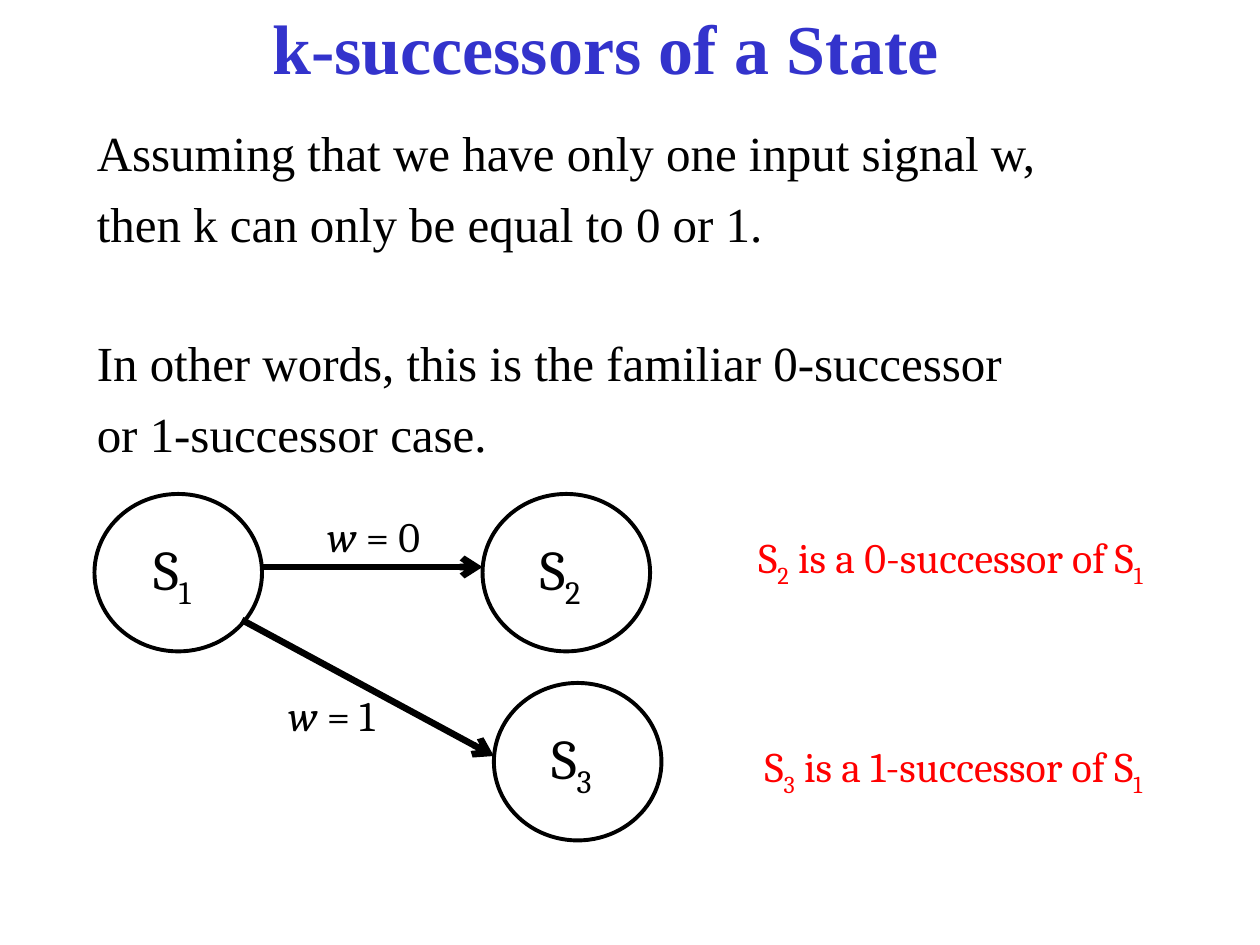
from pptx import Presentation
from pptx.dml.color import RGBColor
from pptx.enum.shapes import MSO_CONNECTOR, MSO_SHAPE
from pptx.enum.text import MSO_ANCHOR, MSO_AUTO_SIZE, PP_ALIGN
from pptx.oxml.ns import qn
from pptx.util import Inches, Pt
from lxml import etree

OVAL = MSO_SHAPE.OVAL
STRAIGHT = MSO_CONNECTOR.STRAIGHT
TOP, MIDDLE = MSO_ANCHOR.TOP, MSO_ANCHOR.MIDDLE
LEFT, CENTER = PP_ALIGN.LEFT, PP_ALIGN.CENTER
FIT_SHAPE = MSO_AUTO_SIZE.SHAPE_TO_FIT_TEXT
NO_FIT = MSO_AUTO_SIZE.NONE
TITLE_ONLY = 5


def color(hex_code):
    return RGBColor.from_string(hex_code)


class StateSlide:
    HEADING_FONT = "Times New Roman"
    DIAGRAM_FONT = "Cambria"
    BLUE, BLACK, RED, WHITE = "3333CC", "000000", "FF0000", "FFFFFF"
    STATE_WIDTH, STATE_HEIGHT = 1.33, 1.25

    def __init__(self, presentation):
        layout = presentation.slide_layouts[TITLE_ONLY]
        self.slide = presentation.slides.add_slide(layout)
        self.shapes = self.slide.shapes

    def run(self, paragraph, text, size, font, hex_code,
            bold=False, italic=False, subscript=False):
        run = paragraph.add_run()
        run.text = text
        run.font.size = Pt(size)
        run.font.name = font
        run.font.bold = bold
        run.font.italic = italic
        run.font.color.rgb = color(hex_code)
        if subscript:
            run.font._element.set("baseline", "-25000")

    def title(self, text, left, top, width, height):
        heading = self.shapes.title
        heading.left, heading.top = Inches(left), Inches(top)
        heading.width, heading.height = Inches(width), Inches(height)
        frame = heading.text_frame
        frame.auto_size = NO_FIT
        frame.vertical_anchor = MIDDLE
        paragraph = frame.paragraphs[0]
        paragraph.alignment = CENTER
        self.run(paragraph, text, 40, self.HEADING_FONT, self.BLUE, bold=True)

    def body(self, lines, left, top, width, height):
        """Add one paragraph per (text, space before in points) pair."""
        box = self.shapes.add_textbox(
            Inches(left), Inches(top), Inches(width), Inches(height))
        frame = box.text_frame
        frame.word_wrap = True
        for index, (text, space_before) in enumerate(lines):
            paragraph = frame.add_paragraph() if index else frame.paragraphs[0]
            paragraph.alignment = LEFT
            paragraph.space_before = Pt(space_before)
            self.run(paragraph, text, 28, self.HEADING_FONT, self.BLACK)

    def state(self, number, left, top):
        circle = self.shapes.add_shape(
            OVAL, Inches(left), Inches(top),
            Inches(self.STATE_WIDTH), Inches(self.STATE_HEIGHT))
        circle.shadow.inherit = False
        circle.fill.solid()
        circle.fill.fore_color.rgb = color(self.WHITE)
        circle.line.color.rgb = color(self.BLACK)
        circle.line.width = Pt(2.25)
        frame = circle.text_frame
        frame.vertical_anchor = MIDDLE
        frame.margin_left, frame.margin_right = 0, Inches(0.1)
        paragraph = frame.paragraphs[0]
        paragraph.alignment = CENTER
        for text, subscript in (("S", False), (number, True)):
            self.run(paragraph, text, 32, self.DIAGRAM_FONT, self.BLACK,
                     subscript=subscript)

    def transition(self, start, end):
        arrow = self.shapes.add_connector(
            STRAIGHT, *(Inches(value) for value in start + end))
        arrow.line.color.rgb = color(self.BLACK)
        arrow.line.width = Pt(3.75)
        line = arrow.line._get_or_add_ln()
        etree.SubElement(line, qn("a:tailEnd"), type="arrow")
        etree.SubElement(line.getparent(), qn("a:effectLst"))

    def label(self, left, top, width, height):
        """Add an unwrapped text box and return its paragraph."""
        box = self.shapes.add_textbox(
            Inches(left), Inches(top), Inches(width), Inches(height))
        frame = box.text_frame
        frame.word_wrap = False
        frame.auto_size = FIT_SHAPE
        frame.vertical_anchor = TOP
        return frame.paragraphs[0]

    def input_label(self, value, left, top):
        paragraph = self.label(left, top, 0.98, 0.5)
        for text, italic in (("w", True), (f" = {value}", False)):
            self.run(paragraph, text, 24, self.DIAGRAM_FONT, self.BLACK,
                     italic=italic)

    def successor_note(self, state, value, left, top, width):
        paragraph = self.label(left, top, width, 0.51)
        parts = (("S", False), (state, True),
                 (f" is a {value}-successor of S", False), ("1", True))
        for text, subscript in parts:
            self.run(paragraph, text, 24, self.DIAGRAM_FONT, self.RED,
                     subscript=subscript)


def main():
    presentation = Presentation()
    presentation.slide_width = Inches(10)
    presentation.slide_height = Inches(7.5)
    page = StateSlide(presentation)

    page.title("k-successors of a State ", 0, 0.08, 9.75, 0.58)
    line_gap, section_gap = 7, 46
    page.body([
        ("Assuming that we have only one input signal w,", line_gap),
        ("then k can only be equal to 0 or 1.", line_gap),
        ("In other words, this is the familiar 0-successor", section_gap),
        ("or 1-successor case.", line_gap),
    ], 0.67, 0.92, 8.67, 2.67)

    for number, left, top in (("1", 0.75, 3.92), ("2", 3.83, 3.92),
                              ("3", 3.92, 5.42)):
        page.state(number, left, top)

    page.transition((2.08, 4.5), (3.83, 4.5))
    page.transition((1.92, 4.92), (3.92, 6))
    page.input_label(0, 2.5, 4)
    page.input_label(1, 2.19, 5.42)
    page.successor_note("2", 0, 5.92, 4.17, 3.56)
    page.successor_note("3", 1, 5.97, 5.83, 3.45)

    presentation.save("out.pptx")


if __name__ == "__main__":
    main()
